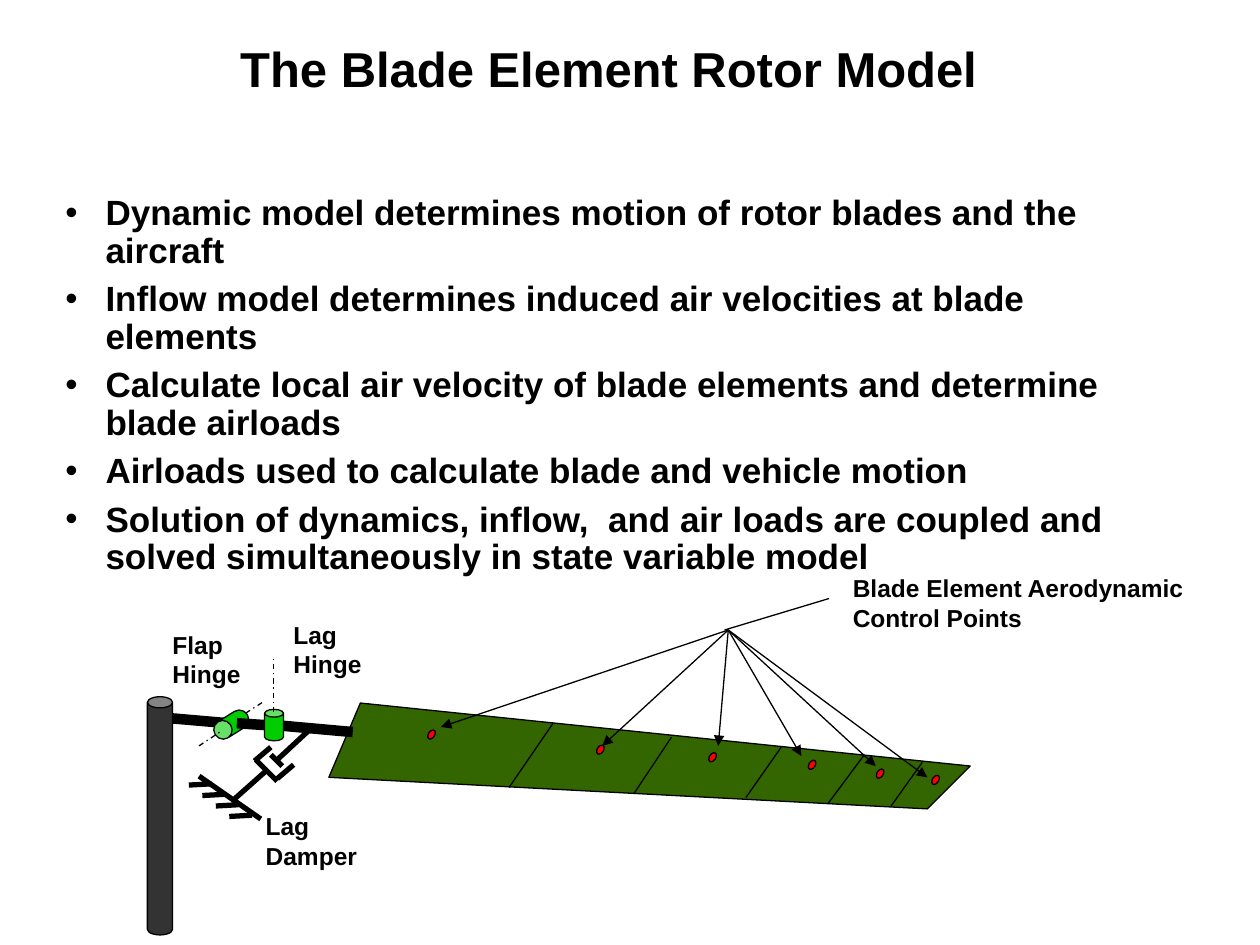
from lxml import etree
from pptx import Presentation
from pptx.dml.color import RGBColor
from pptx.enum import dml, shapes, text
from pptx.oxml.ns import qn
from pptx.util import Cm, Pt

FONT = "Arial"
BLACK, HUB_GREEN, BLADE_GREEN = "000000", "00CC00", "336600"
RED, MAST_GREY = "FF0000", "333333"
THIN, MEDIUM, THICK = 0.75, 3, 6
FAN = (5.78, 5)

BULLETS = [
    "Dynamic model determines motion of rotor blades and the aircraft",
    "Inflow model determines induced air velocities at blade elements",
    "Calculate local air velocity of blade elements and determine blade airloads",
    "Airloads used to calculate blade and vehicle motion",
    "Solution of dynamics, inflow,  and air loads are coupled and solved "
    "simultaneously in state variable model",
]
LABELS = [
    ("Flap Hinge", (1.27, 4.95, 0.76, 0.57)),
    ("Lag Hinge", (2.23, 4.87, 0.76, 0.57)),
    ("Lag Damper", (2.01, 6.39, 1.27, 0.57)),
    ("Blade Element Aerodynamic Control Points", (6.67, 4.5, 2.93, 0.57)),
]
BLADE = [(2.86, 5.58), (7.7, 6.08), (7.36, 6.42), (2.61, 6.17)]
BLADE_CUTS = [
    ((7.32, 6.05), (7.07, 6.4)),
    ((6.86, 5.99), (6.57, 6.38)),
    ((6.2, 5.93), (5.92, 6.33)),
    ((5.33, 5.85), (5.03, 6.3)),
    ((4.39, 5.74), (4.04, 6.25)),
]
# Corner of each control point, then the tip of the arrow to it
CONTROL_POINTS = [
    ((3.4, 5.79), (3.5, 5.77)),
    ((4.74, 5.91), (4.78, 5.92)),
    ((5.63, 5.97), (5.7, 5.92)),
    ((6.42, 6.03), (6.36, 6)),
    ((6.96, 6.1), (6.95, 6.08)),
    ((7.4, 6.15), (7.36, 6.17)),
]
DAMPER = [
    ((2.47, 5.78), (2.2, 6.03)),
    ((2.03, 6.03), (2.2, 6.2)),
    ((2.02, 6.04), (2.15, 5.93)),
    ((2.2, 6.18), (2.33, 6.07)),
    ((2.15, 5.99), (2.24, 6.08)),
    ((2.11, 6.12), (1.84, 6.36)),
    ((1.58, 6.16), (2.07, 6.5)),
]
HINGE_AXES = [
    ((2.17, 5.65), (2.17, 5.21)),
    ((1.58, 5.92), (1.76, 5.8)),
    ((1.95, 5.66), (2.09, 5.57)),
]


def lengths(values):
    """Turn inch figures into Cm lengths."""
    return [Cm(value * 2.54) for value in values]


def colour(code):
    """Return the colour for a hex string."""
    return RGBColor.from_string(code)


def add_text(page, place, lines, size=14, wrap=True, align=None,
             spacing=None, before=0, bullet=False):
    """Add a box of bold text, one paragraph for each line."""
    box = page.shapes.add_textbox(*lengths(place))
    frame = box.text_frame
    frame.word_wrap = wrap
    for number, line in enumerate(lines):
        para = frame.paragraphs[0] if number == 0 else frame.add_paragraph()
        para.alignment = align
        para.line_spacing = spacing
        para.space_before = Pt(before)
        span = para.add_run()
        span.text = line
        span.font.name, span.font.size, span.font.bold = FONT, Pt(size), True
        span.font.color.rgb = colour(BLACK)
        if bullet:
            add_bullet(para)


def add_bullet(para):
    """Give a paragraph a round bullet and a hanging indent."""
    props = para._p.get_or_add_pPr()
    props.set("marL", str(Cm(0.81)))
    props.set("indent", str(Cm(-0.81)))
    etree.SubElement(props, qn("a:buFont")).set("typeface", FONT)
    etree.SubElement(props, qn("a:buChar")).set("char", "•")


def paint(shape, fill):
    """Set the fill and the thin black outline of a shape."""
    shape.shadow.inherit = False
    shape.fill.solid()
    shape.fill.fore_color.rgb = colour(fill)
    shape.line.color.rgb = colour(BLACK)
    shape.line.width = Pt(THIN)


def add_preset(page, kind, place, fill, turn=0, depth=None, flip=False):
    """Add a preset shape, turned or flipped if asked."""
    shape = page.shapes.add_shape(kind, *lengths(place))
    paint(shape, fill)
    shape.rotation = turn
    if depth is not None:
        shape.adjustments[0] = depth
    if flip:
        shape.element.spPr.find(qn("a:xfrm")).set("flipH", "1")


def add_outline(page, points, fill):
    """Add a closed outline through the points."""
    corners = [lengths(point) for point in points]
    builder = page.shapes.build_freeform(*corners[0])
    builder.add_line_segments(corners[1:], close=True)
    paint(builder.convert_to_shape(), fill)


def add_line(page, start, end, width=THIN, dash=None, arrow=False):
    """Add a straight black line, with an arrowhead at its end if asked."""
    line = page.shapes.add_connector(
        shapes.MSO_CONNECTOR.STRAIGHT, *lengths(start + end))
    line.line.color.rgb = colour(BLACK)
    line.line.width = Pt(width)
    if dash:
        line.line.dash_style = dash
    props = line.element.spPr
    if arrow:
        tail = etree.SubElement(props.find(qn("a:ln")), qn("a:tailEnd"))
        tail.set("type", "triangle")
    etree.SubElement(props, qn("a:effectLst"))


def add_blade(page):
    """Draw the blade, its elements and their control points."""
    add_outline(page, BLADE, BLADE_GREEN)
    for start, end in BLADE_CUTS:
        add_line(page, start, end)
    for corner, _ in CONTROL_POINTS:
        add_preset(page, shapes.MSO_SHAPE.OVAL, corner + (0.05, 0.08), RED,
                   turn=33.4)


def add_hub(page):
    """Draw the mast, the arm with its hinges and the lag damper."""
    can = shapes.MSO_SHAPE.CAN
    add_line(page, (1.81, 5.74), (1.35, 5.7), THICK)
    add_preset(page, can, (1.76, 5.6, 0.15, 0.3), HUB_GREEN,
               turn=237.8, depth=0.965, flip=True)
    add_line(page, (2.18, 5.76), (1.88, 5.74), THICK)
    add_line(page, (2.8, 5.81), (2.24, 5.76), THICK)
    add_preset(page, can, (2.1, 5.63, 0.15, 0.25), HUB_GREEN, depth=0.41)
    for start, end in DAMPER:
        add_line(page, start, end, MEDIUM)
    for step in range(4):
        x, y = 2 - 0.107 * step, 6.47 - 0.083 * step
        add_line(page, (x, y), (x - 0.18, y + 0.01), MEDIUM)
    for start, end in HINGE_AXES:
        add_line(page, start, end, dash=dml.MSO_LINE.DASH_DOT)
    add_preset(page, can, (1.17, 5.53, 0.2, 1.89), MAST_GREY, depth=0.44)


def add_fan(page):
    """Draw the arrows from the label to the control points."""
    for _, tip in CONTROL_POINTS:
        add_line(page, FAN, tip, arrow=True)
    add_line(page, (5.75, 5), (6.58, 4.75))


def main():
    """Build the slide and save it."""
    deck = Presentation()
    deck.slide_width, deck.slide_height = Cm(25.4), Cm(19.05)
    page = deck.slides.add_slide(deck.slide_layouts[6])
    add_text(page, (0.42, 1.5, 9.08, 2.92), BULLETS, size=20,
             spacing=0.9, before=6, bullet=True)
    add_text(page, (1.64, 0.33, 6.38, 0.56), ["The Blade Element Rotor Model"],
             size=28, wrap=False, align=text.PP_ALIGN.CENTER, spacing=0.85)
    add_blade(page)
    add_hub(page)
    for label, place in LABELS:
        add_text(page, place, [label])
    add_fan(page)
    deck.save("out.pptx")


main()
